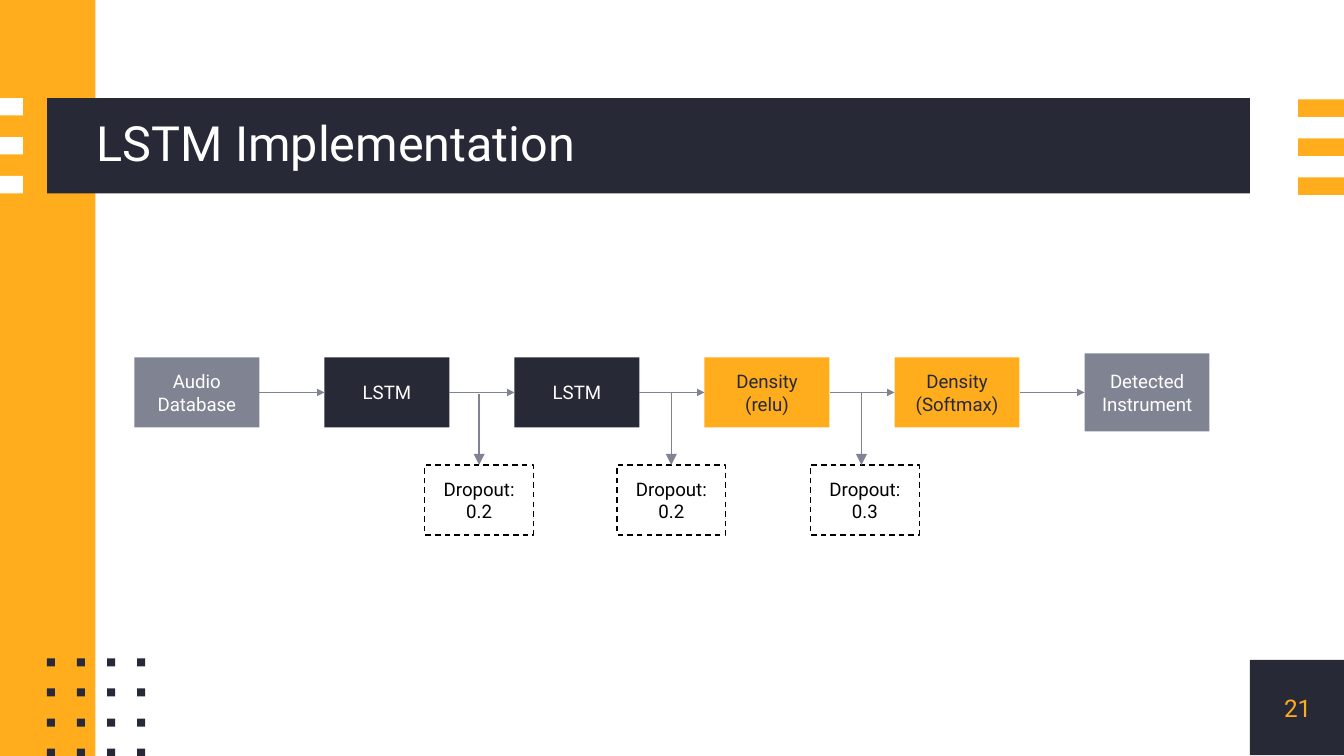
from dataclasses import dataclass

from lxml.etree import SubElement
from pptx import Presentation
from pptx.dml.color import RGBColor
from pptx.enum.dml import MSO_LINE
from pptx.enum.shapes import MSO_CONNECTOR, MSO_SHAPE
from pptx.enum.text import MSO_ANCHOR, MSO_AUTO_SIZE, PP_ALIGN
from pptx.oxml.ns import qn
from pptx.util import Inches, Pt


@dataclass(frozen=True)
class Theme:
    dark: RGBColor = RGBColor(0x27, 0x2A, 0x36)
    amber: RGBColor = RGBColor(0xFF, 0xAD, 0x1D)
    gray: RGBColor = RGBColor(0x80, 0x83, 0x92)
    white: RGBColor = RGBColor(0xFF, 0xFF, 0xFF)
    black: RGBColor = RGBColor(0, 0, 0)
    font: str = "Roboto"
    title_size: Pt = Pt(26)
    number_size: Pt = Pt(13)
    body_size: Pt = Pt(10)
    line_width: Pt = Pt(0.75)


theme = Theme()
slide_width = 10
slide_height = slide_width * 9 / 16
prs = Presentation()
prs.slide_width, prs.slide_height = Inches(slide_width), Inches(slide_height)
slide = prs.slides.add_slide(prs.slide_layouts[5])


def add_box(left, top, width, height, fill=None):
    box = slide.shapes.add_shape(
        MSO_SHAPE.RECTANGLE, Inches(left), Inches(top), Inches(width), Inches(height))
    box.shadow.inherit = False
    if fill is None:
        box.fill.background()
    else:
        box.fill.solid()
        box.fill.fore_color.rgb = fill
    box.line.fill.background()
    return box


def write(shape, text, size, color, align=PP_ALIGN.CENTER, inset=0.0):
    frame = shape.text_frame
    frame.text = text
    frame.word_wrap = True
    frame.auto_size = MSO_AUTO_SIZE.NONE
    frame.vertical_anchor = MSO_ANCHOR.MIDDLE
    frame.margin_left = frame.margin_right = Inches(inset)
    frame.margin_top = frame.margin_bottom = Inches(inset)
    for paragraph in frame.paragraphs:
        paragraph.alignment = align
        for run in paragraph.runs:
            run.font.name = theme.font
            run.font.size = size
            run.font.color.rgb = color


# Side band, title bar and stripes
add_box(0, 0, 0.71, slide_height, theme.amber)
add_box(0.35, 0.73, 8.95, 0.71, theme.dark)
for stripe in range(3):
    stripe_top = 0.73 + stripe * 0.29
    add_box(0, stripe_top, 0.17, 0.13, theme.white)
    add_box(9.66, stripe_top + 0.01, 0.34, 0.13, theme.amber)

# Dot grid
dot_pitch = 0.67 / 3
for row in range(4):
    for column in range(4):
        add_box(0.35 + column * dot_pitch, 4.9 + row * dot_pitch, 0.06, 0.06, theme.dark)

# Slide number
page_number = add_box(9.3, 4.91, 0.71, 0.71, theme.dark)
write(page_number, "21", theme.number_size, theme.amber)

# Title, brought in front of its bar
title = slide.shapes.title
title.left, title.top = Inches(0.72), Inches(0.73)
title.width, title.height = Inches(8.58), Inches(0.71)
write(title, "LSTM Implementation", theme.title_size, theme.white, PP_ALIGN.LEFT)
title.text_frame.paragraphs[0].line_spacing = 0.9
title.element.getparent().append(title.element)

# Network stages, evenly spaced on one centre line
flow_y = 2.92
stage_pitch = (8.07 - 1) / 5
stages = []
for index, (label, height, fill, color) in enumerate([
    ("Audio Database", 0.52, theme.gray, theme.white),
    ("LSTM", 0.52, theme.dark, theme.white),
    ("LSTM", 0.52, theme.dark, theme.white),
    ("Density\n(relu)", 0.52, theme.amber, theme.dark),
    ("Density\n(Softmax)", 0.52, theme.amber, theme.dark),
    ("Detected Instrument", 0.58, theme.gray, theme.white),
]):
    stage = add_box(1 + index * stage_pitch, flow_y - height / 2, 0.93, height, fill)
    write(stage, label, theme.body_size, color, inset=0.1)
    stages.append(stage)

# Arrows from stage to stage, each with its head size
arrows = []
for source, target in zip(stages, stages[1:]):
    flow_arrow = slide.shapes.add_connector(MSO_CONNECTOR.ELBOW, 0, 0, 0, 0)
    flow_arrow.begin_connect(source, 3)
    flow_arrow.end_connect(target, 1)
    arrows.append((flow_arrow, "sm"))

# Dropout boxes and the arrows that branch down to them
dropout_top, dropout_width = 3.46, 0.81
for left, rate, branch_x, branch_y in [
    (3.16, "0.2", 3.56, 2.93),
    (4.59, "0.2", 5, flow_y),
    (6.03, "0.3", 6.41, flow_y),
]:
    dropout = add_box(left, dropout_top, dropout_width, 0.52)
    dropout.line.color.rgb = theme.black
    dropout.line.width = theme.line_width
    dropout.line.dash_style = MSO_LINE.DASH
    write(dropout, f"Dropout:\n{rate}", theme.body_size, theme.black, inset=0.1)

    centre_x = left + dropout_width / 2
    centred = abs(branch_x - centre_x) < 0.01
    arrow_x = Inches(centre_x if centred else branch_x)
    branch_arrow = slide.shapes.add_connector(
        MSO_CONNECTOR.STRAIGHT, arrow_x, Inches(branch_y), arrow_x, Inches(dropout_top))
    if centred:
        branch_arrow.end_connect(dropout, 0)
    arrows.append((branch_arrow, "med"))

# Arrow style
for arrow, head in arrows:
    arrow.line.color.rgb = theme.gray
    arrow.line.width = theme.line_width
    properties = arrow.element.spPr
    SubElement(properties.find(qn("a:ln")), qn("a:tailEnd"), type="triangle", w=head, len=head)
    SubElement(properties, qn("a:effectLst"))

prs.save("out.pptx")
